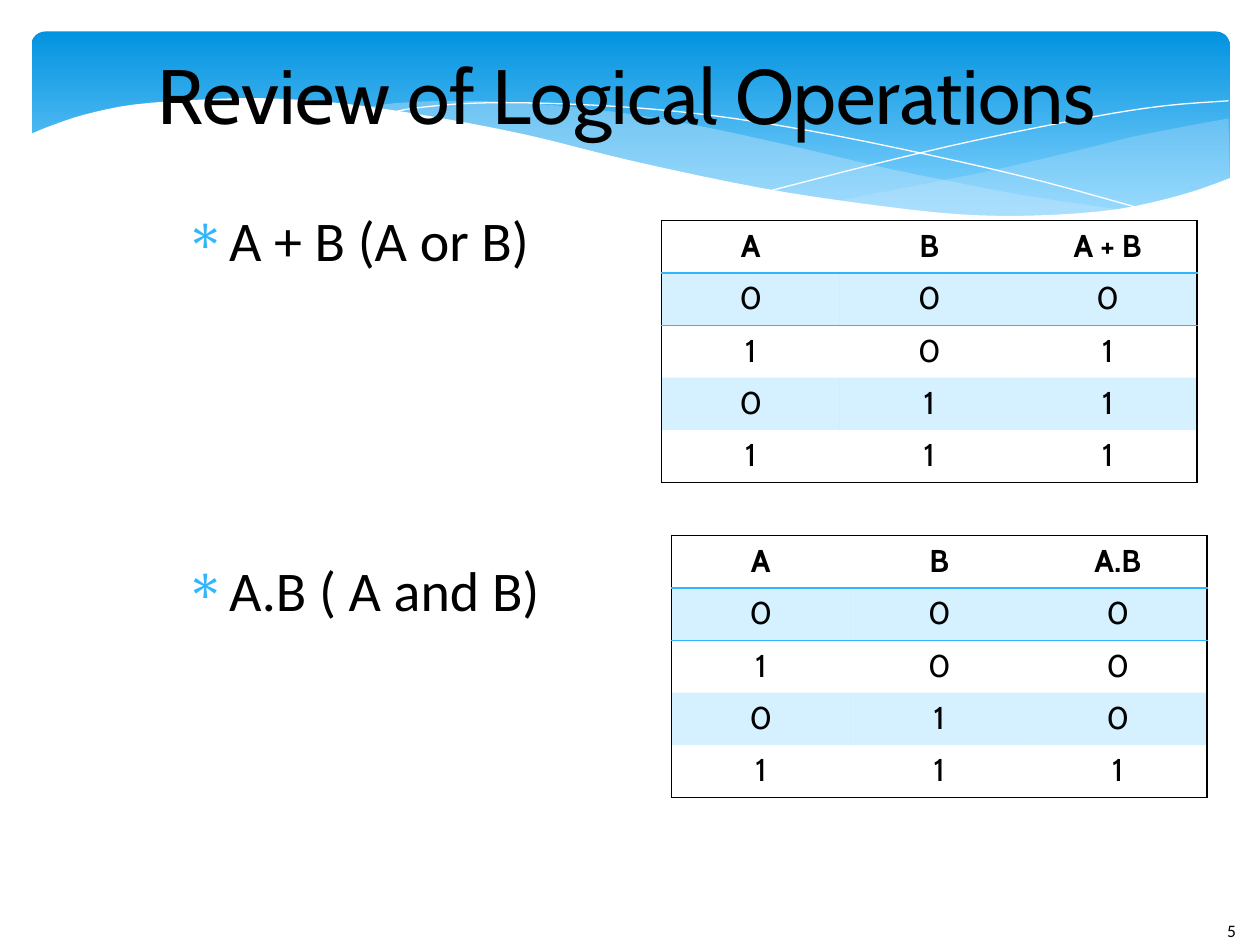
from lxml import etree
from pptx import Presentation
from pptx.dml.color import RGBColor
from pptx.enum.shapes import MSO_SHAPE
from pptx.enum.text import MSO_ANCHOR, PP_ALIGN
from pptx.oxml.ns import qn
from pptx.util import Inches, Pt

ROUND = MSO_SHAPE.ROUNDED_RECTANGLE
CENTER = PP_ALIGN.CENTER
LEFT = PP_ALIGN.LEFT
MIDDLE = MSO_ANCHOR.MIDDLE
TOP = MSO_ANCHOR.TOP
BLACK, WHITE, SKY, VEIL = "000000", "FFFFFF", "31B6FD", "C6E7FC"
NO_STYLE = "{2D5ABB26-0587-4C30-8999-92F81FD0307C}"

VEIL_R = [
    [(9.5, .69), (8.81, .82), (8.36, .93), (7.54, 1.12), (6.36, 1.35)],
    [(6.36, 1.35), (7.2, 1.44), (7.99, 1.47), (8.56, 1.43), (9.1, 1.31), (9.51, 1.16)],
]
VEIL_L = [
    [(8.68, 1.42), (7.82, 1.29), (6.81, 1.09), (6.04, .91), (5.3, .75),
     (4.64, .64), (3.95, .57), (3.36, .55), (2.88, .57), (2.61, .61)],
    [(2.61, .61), (3.17, .69), (4.24, .91), (5.41, 1.18), (6.4, 1.36),
     (7.23, 1.45), (7.93, 1.48), (8.42, 1.45), (8.68, 1.42)],
]
LINE_L = [[(2.84, .65), (3.03, .61), (3.49, .57), (4.08, .57), (4.85, .61),
           (5.57, .69), (6.4, .83), (7.35, 1.03), (8.06, 1.2), (8.82, 1.41)]]
LINE_R = [[(5.88, 1.26), (6.7, 1.05), (7.51, .86), (8.41, .68), (8.99, .59), (9.5, .55)]]
COVER = [
    [(9.52, 1.16), (9.15, 1.29), (8.62, 1.41), (7.98, 1.46), (7.36, 1.45), (6.63, 1.37),
     (5.78, 1.24), (4.78, 1.03), (3.93, .82), (3.15, .67), (2.46, .57), (1.86, .53),
     (1.36, .54), (.81, .58), (.42, .66), (.15, .75), (-.02, .82)],
    [(-.02, 1.99), (9.52, 1.99)],
]


def color(code):
    """Turn a hex string into a colour."""
    return RGBColor.from_string(code)


def paint(fill, node, code, alpha=100):
    """Fill a shape or cell, with opacity in percent."""
    fill.solid()
    fill.fore_color.rgb = color(code)
    if alpha < 100:
        tint = node.find(qn("a:solidFill"))[0]
        etree.SubElement(tint, qn("a:alpha"), val=str(alpha * 1000))


def curve(knots, steps=4):
    """Return points of a smooth curve through the knots."""
    ends = [knots[0], *knots, knots[-1]]
    points = [knots[0]]
    for a, b, c, d in zip(ends, ends[1:], ends[2:], ends[3:]):
        for step in range(1, steps + 1):
            t = step / steps
            points.append(tuple(
                q + t / 2 * (r - p + t * (2 * p - 5 * q + 4 * r - s
                                          + t * (3 * q - p - 3 * r + s)))
                for p, q, r, s in zip(a, b, c, d)))
    return points


def wave(slide, box, parts, fill=None, alpha=100):
    """Draw a curved area, or a white hairline if no fill is given."""
    points = [(Inches(box[0] + x), Inches(box[1] + y))
              for part in parts for x, y in curve(part)]
    pen = slide.shapes.build_freeform(*points[0], scale=1.0)
    pen.add_line_segments(points[1:], close=bool(fill))
    shape = pen.convert_to_shape()
    shape.shadow.inherit = False
    if fill:
        paint(shape.fill, shape._element.spPr, fill, alpha)
        shape.line.fill.background()
    else:
        shape.fill.background()
        shape.line.color.rgb = color(WHITE)
        shape.line.width = Pt(0)


def banner(slide, box):
    """Draw the blue band and its waves."""
    band = slide.shapes.add_shape(ROUND, *map(Inches, box))
    band.adjustments[0] = 0.07
    band.shadow.inherit = False
    band.line.fill.background()
    band.fill.gradient()
    band.fill.gradient_angle = 270
    stops = zip(band.fill.gradient_stops, (0, 0.9), ("0293E0", "83D3FE"))
    for stop, place, code in stops:
        stop.position = place
        stop.color.rgb = color(code)
    wave(slide, box, VEIL_R, VEIL, 29)
    wave(slide, box, VEIL_L, VEIL, 40)
    wave(slide, box, LINE_L)
    wave(slide, box, LINE_R)
    wave(slide, box, COVER, WHITE)


def write(para, text, size, face, bold=False):
    """Add one run of black text."""
    run = para.add_run()
    run.text = text
    run.font.size = Pt(size)
    run.font.name = face
    run.font.bold = bold
    run.font.color.rgb = color(BLACK)


def frame(slide, box, anchor=TOP):
    """Add a wrapping text box and return its frame."""
    text = slide.shapes.add_textbox(*map(Inches, box)).text_frame
    text.word_wrap = True
    text.vertical_anchor = anchor
    return text


def label(slide, box, text, size, face, align=LEFT, anchor=TOP):
    """Place one line of text."""
    para = frame(slide, box, anchor).paragraphs[0]
    para.alignment = align
    write(para, text, size, face)


def bullets(slide, box, items, gap):
    """Place starred items with a gap in points between them."""
    text = frame(slide, box)
    for i, item in enumerate(items):
        para = text.add_paragraph() if i else text.paragraphs[0]
        props = para._p.get_or_add_pPr()
        props.set("marL", str(Inches(0.47)))
        props.set("indent", str(Inches(-0.35)))
        tint = etree.SubElement(props, qn("a:buClr"))
        etree.SubElement(tint, qn("a:srgbClr"), val=SKY)
        etree.SubElement(props, qn("a:buChar"), char="∗")
        if i:
            para.space_before = Pt(gap)
        write(para, item, 32, "Calibri")


def border(cell, side, code):
    """Draw one edge of a cell."""
    props = cell._tc.get_or_add_tcPr()
    line = etree.SubElement(props, qn("a:ln" + side), w=str(Pt(1)))
    fill = etree.SubElement(line, qn("a:solidFill"))
    etree.SubElement(fill, qn("a:srgbClr"), val=code)


def truth(slide, box, rows):
    """Place a truth table with an outer frame and striped rows."""
    high, wide = len(rows), len(rows[0])
    table = slide.shapes.add_table(high, wide, *map(Inches, box)).table
    table._tbl.tblPr.find(qn("a:tableStyleId")).text = NO_STYLE
    table.first_row = table.horz_banding = False
    for i, row in enumerate(rows):
        for j, value in enumerate(row):
            cell = table.cell(i, j)
            edges = {"L": j == 0, "R": j == wide - 1, "T": i == 0, "B": i == high - 1}
            for side, outer in edges.items():
                if outer:
                    border(cell, side, BLACK)
                elif (i, side) in ((0, "B"), (1, "T")):
                    border(cell, side, SKY)
            if i % 2:
                paint(cell.fill, cell._tc.tcPr, SKY, 20)
            else:
                cell.fill.background()
            para = cell.text_frame.paragraphs[0]
            para.alignment = CENTER
            write(para, value, 18, "Cabin", i == 0)


def main():
    """Build the slide."""
    deck = Presentation()
    deck.slide_width, deck.slide_height = Inches(10), Inches(7.5)
    slide = deck.slides.add_slide(deck.slide_layouts[6])
    banner(slide, (0.25, 0.25, 9.51, 1.56))
    label(slide, (0.92, 0.23, 8.11, 1.02), "Review of Logical Operations",
          44, "Cabin", CENTER, MIDDLE)
    bullets(slide, (1.25, 1.58, 8.11, 4.95), ["A + B (A or B)", "A.B ( A and B)"], 162)
    label(slide, (9.64, 7.25, 0.61, 0.4), "5", 10, "Calibri")
    pairs = [(0, 0), (1, 0), (0, 1), (1, 1)]
    tables = [
        (5.25, 1.75, "A + B", [a | b for a, b in pairs]),
        (5.33, 4.25, "A.B", [a & b for a, b in pairs]),
    ]
    for left, top, name, results in tables:
        rows = [(str(a), str(b), str(out)) for (a, b), out in zip(pairs, results)]
        truth(slide, (left, top, 4.25, 2.08), [("A", "B", name), *rows])
    deck.save("out.pptx")


if __name__ == "__main__":
    main()
